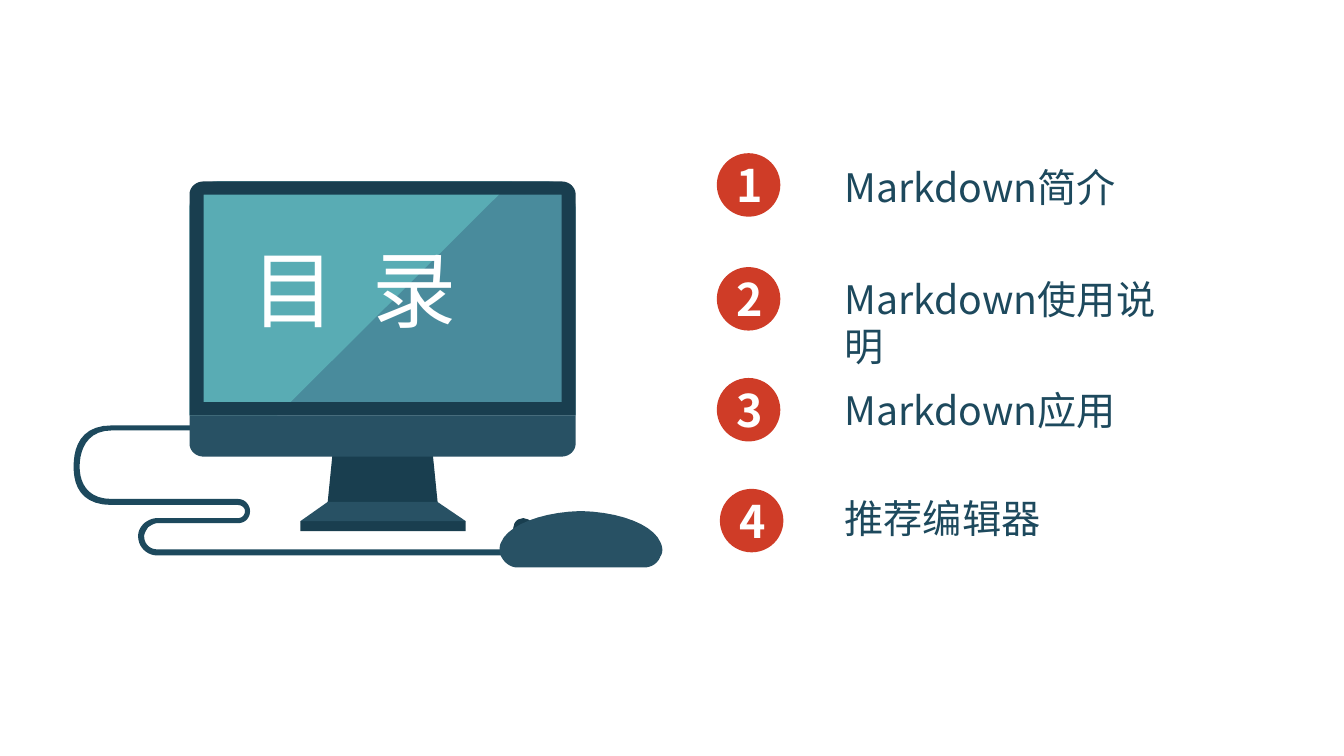
from pptx import Presentation
from pptx.dml.color import RGBColor
from pptx.enum.shapes import MSO_SHAPE
from pptx.enum.text import MSO_ANCHOR, MSO_AUTO_SIZE, PP_ALIGN
from pptx.oxml.ns import qn
from pptx.util import Inches, Pt
from lxml.etree import SubElement

COLORS = {
    "dark": "193E4F", "slate": "285164", "ink": "1D495D", "screen": "498B9C",
    "glare": "59ACB4", "badge": "CF3C27", "white": "FFFFFF",
}
SANS_SC = "Noto Sans CJK SC"
SANS_JP = "Noto Sans CJK JP"
CURVE_STEPS = 10

CABLE = [
    (2.16, 4.22), (1.11, 4.22),
    (0.79, 4.22, 0.73, 4.45, 0.73, 4.63), (0.73, 4.8, 0.79, 5.01, 1.11, 5.01),
    (2.36, 5.01),
    (2.4, 5.01, 2.43, 5.04, 2.43, 5.07), (2.43, 5.11, 2.4, 5.14, 2.36, 5.14),
    (1.56, 5.14),
    (1.51, 5.14, 1.47, 5.16, 1.43, 5.19), (1.39, 5.23, 1.37, 5.27, 1.37, 5.32),
    (1.37, 5.43, 1.46, 5.51, 1.56, 5.51),
    (4.98, 5.51), (4.98, 5.45), (1.56, 5.45),
    (1.49, 5.45, 1.43, 5.4, 1.43, 5.32), (1.43, 5.29, 1.45, 5.26, 1.47, 5.23),
    (1.5, 5.21, 1.53, 5.19, 1.56, 5.19),
    (2.36, 5.19),
    (2.43, 5.19, 2.48, 5.14, 2.48, 5.07), (2.48, 5.01, 2.43, 4.95, 2.36, 4.95),
    (1.11, 4.95),
    (0.85, 4.95, 0.79, 4.77, 0.79, 4.63), (0.79, 4.48, 0.85, 4.27, 1.11, 4.27),
    (2.16, 4.27),
]
MOUSE = [
    (4.97, 5.38),
    (5.04, 5.21, 5.37, 5.08, 5.76, 5.07), (6.16, 5.08, 6.48, 5.21, 6.55, 5.38),
    (6.57, 5.42, 6.58, 5.48, 6.55, 5.52), (6.53, 5.58, 6.47, 5.63, 6.39, 5.63),
    (5.13, 5.63),
    (5.06, 5.63, 5, 5.58, 4.97, 5.52), (4.95, 5.48, 4.95, 5.42, 4.97, 5.38),
]
NECK = [(4.29, 4.48), (3.3, 4.48), (3.25, 4.98), (4.34, 4.98)]
FOOT = [(2.98, 5.17), (3.25, 4.98), (4.34, 4.98), (4.62, 5.17)]
SCREEN = [
    (5.44, 1.8), (2.16, 1.8), (2.01, 1.8, 1.88, 1.92, 1.88, 2.07),
    (1.88, 4.12), (5.71, 4.12), (5.71, 2.07), (5.71, 1.92, 5.59, 1.8, 5.44, 1.8),
]
GLARE = [
    (5.08, 1.8), (2.16, 1.8), (2.01, 1.8, 1.88, 1.92, 1.88, 2.07),
    (1.88, 4.12), (2.75, 4.12),
]
FRAME = [
    (5.57, 1.8), (2.02, 1.8), (1.94, 1.8, 1.88, 1.86, 1.88, 1.93),
    (1.88, 4.12), (5.71, 4.12), (5.71, 1.93), (5.71, 1.86, 5.65, 1.8, 5.57, 1.8),
]
OPENING = [(2.02, 1.93), (5.57, 1.93), (5.57, 3.99), (2.02, 3.99)]
CHIN = [
    (1.88, 4.12), (1.88, 4.4), (1.88, 4.47, 1.94, 4.53, 2.02, 4.53),
    (5.57, 4.53), (5.65, 4.53, 5.71, 4.47, 5.71, 4.4), (5.71, 4.12),
]
ITEMS = [
    ("Markdown简介", 7.11, 1.52, 1.57, 4.27),
    ("Markdown使用说明", 7.11, 2.65, 2.68, 3.58),
    ("Markdown应用", 7.11, 3.75, 3.78, 3.26),
    ("推荐编辑器", 7.14, 4.85, 4.85, 4.36),
]


def trace(outline):
    points = [outline[0]]
    for step in outline[1:]:
        if len(step) == 2:
            points.append(step)
            continue
        ends = [points[-1], step[:2], step[2:4], step[4:]]
        for i in range(1, CURVE_STEPS + 1):
            t = i / CURVE_STEPS
            weights = ((1 - t) ** 3, 3 * t * (1 - t) ** 2, 3 * t * t * (1 - t), t ** 3)
            points.append(tuple(sum(w * e[k] for w, e in zip(weights, ends)) for k in (0, 1)))
    return [(Inches(x), Inches(y)) for x, y in points]


class Deck:
    def __init__(self):
        self.prs = Presentation()
        self.prs.slide_width, self.prs.slide_height = Inches(13.33), Inches(7.5)
        self.s = self.prs.slides.add_slide(self.prs.slide_layouts[5])

    def paint(self, sp, color):
        sp.shadow.inherit = False
        sp.fill.solid()
        sp.fill.fore_color.rgb = RGBColor.from_string(COLORS[color])
        sp.line.fill.background()
        return sp

    def shape(self, kind, color, *box):
        return self.paint(self.s.shapes.add_shape(kind, *map(Inches, box)), color)

    def outline(self, color, *contours):
        first, *rest = [trace(c) for c in contours]
        builder = self.s.shapes.build_freeform(*first[0], scale=1.0)
        builder.add_line_segments(first[1:], close=True)
        for points in rest:
            builder.move_to(*points[0])
            builder.add_line_segments(points[1:], close=True)
        return self.paint(builder.convert_to_shape(), color)

    def text(self, sp, content, font, size, color, bold=False, align=PP_ALIGN.LEFT,
             anchor=MSO_ANCHOR.TOP, fit=MSO_AUTO_SIZE.NONE):
        tf = sp.text_frame
        for name, value in {"word_wrap": True, "vertical_anchor": anchor, "auto_size": fit}.items():
            setattr(tf, name, value)
        p = tf.paragraphs[0]
        p.alignment = align
        r = p.add_run()
        r.text = content
        for name, value in {"name": font, "size": Pt(size), "bold": bold}.items():
            setattr(r.font, name, value)
        r.font.color.rgb = RGBColor.from_string(COLORS[color])
        SubElement(r._r.get_or_add_rPr(), qn("a:ea")).set("typeface", font)
        return r

    def badge(self, number, left, top):
        sp = self.shape(MSO_SHAPE.OVAL, "badge", left, top, 0.63, 0.63)
        self.text(sp, str(number), SANS_SC, 32, "white", True, PP_ALIGN.CENTER, MSO_ANCHOR.MIDDLE)

    def label(self, content, *box):
        sp = self.s.shapes.add_textbox(*map(Inches, box))
        self.text(sp, content, SANS_JP, 28, "ink", fit=MSO_AUTO_SIZE.SHAPE_TO_FIT_TEXT)

    def title(self, content, spacing, *box):
        sp = self.s.shapes.title
        for name, value in zip(("left", "top", "width", "height"), box):
            setattr(sp, name, Inches(value))
        r = self.text(sp, content, SANS_SC, 60, "white", fit=MSO_AUTO_SIZE.SHAPE_TO_FIT_TEXT)
        r._r.get_or_add_rPr().set("spc", str(spacing))
        self.s.shapes._spTree.append(sp._element)


def main():
    deck = Deck()
    deck.shape(MSO_SHAPE.OVAL, "dark", 5.09, 5.14, 0.2, 0.2)
    deck.outline("ink", CABLE)
    deck.outline("slate", MOUSE)
    deck.outline("dark", NECK)
    deck.shape(MSO_SHAPE.RECTANGLE, "dark", 2.98, 5.17, 1.64, 0.1)
    display = [deck.outline("screen", SCREEN), deck.outline("glare", GLARE)]
    deck.s.shapes.add_group_shape(display)
    deck.outline("dark", FRAME, OPENING)
    deck.outline("slate", CHIN)
    deck.outline("slate", FOOT)
    for number, (content, left, badge_top, text_top, width) in enumerate(ITEMS, 1):
        deck.badge(number, left, badge_top)
        deck.label(content, 8.28, text_top, width, 0.57)
    deck.title("目 录", 670, 2.39, 2.31, 3.37, 1.11)
    deck.prs.save("out.pptx")


if __name__ == "__main__":
    main()
